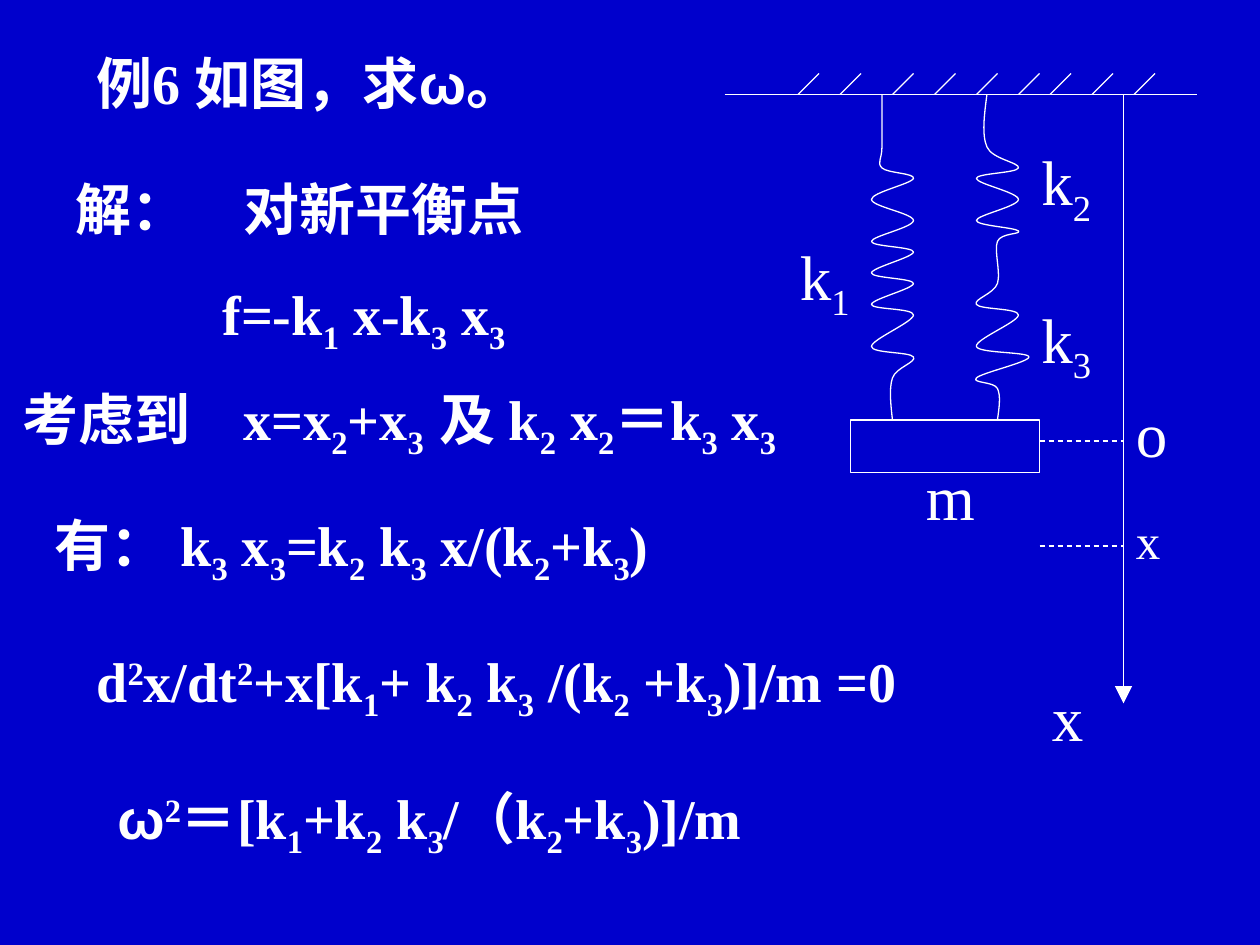
import itertools

import lxml.etree
import pptx
import pptx.dml.color
import pptx.enum.dml
import pptx.enum.shapes
import pptx.enum.text
import pptx.oxml.ns
import pptx.util
from pptx.util import Inches

BLUE = pptx.dml.color.RGBColor(0x00, 0x00, 0xCC)
WHITE = pptx.dml.color.RGBColor(0xFF, 0xFF, 0xFF)
BASELINES = {"_": "-25000", "^": "30000"}

TITLE = "例6 如图，求ω。"

# Worked solution: left, top, width, height, text ("_" lowers, "^" raises one character)
SOLUTION = [
    (0.5, 1.33, 1.17, 0.64, "解："),
    (1.83, 1.33, 3.25, 0.64, "对新平衡点"),
    (1.67, 2.17, 3.75, 0.71, "f=-k_1 x-k_3 x_3"),
    (0.08, 3, 1.83, 0.64, "考虑到"),
    (1.83, 3, 5.17, 0.71, "x=x_2+x_3_ _ 及 k_2 x_2＝k_3 x_3"),
    (0.33, 4, 1.17, 0.64, "有："),
    (1.33, 4, 4.33, 0.71, "k_3 x_3=k_2 k_3 x/(k_2+k_3)"),
    (0.67, 5.08, 6.75, 0.71, "d^2x/dt^2+x[k_1+ k_2 k_3 /(k_2 +k_3)]/m =0"),
    (0.83, 6.17, 7.67, 0.71, "ω^2＝[k_1+k_2 k_3/（k_2+k_3)]/m"),
]

# Diagram labels: left, top, width, height, text, size
LABELS = [
    (8.92, 3.08, 0.92, 0.7, "o", 36),
    (8.92, 4, 1.42, 0.57, "x", 28),
    (8.25, 5.33, 0.92, 0.7, "x", 36),
    (6.25, 1.83, 0.83, 0.79, "k_1", 36),
    (8.17, 1.08, 1, 0.79, "k_2", 36),
    (8.17, 2.33, 1, 0.79, "k_3", 36),
    (7.25, 3.58, 1.08, 0.7, "m", 36),
]

CEILING_Y = 0.75
HATCH_FEET = [6.33, 6.67, 7.08, 7.42, 7.75, 8.08, 8.33, 8.67, 9]
AXIS_X = 8.92

# Turning points of the springs
SPRING_1 = [(7, 0.75), (7, 1.17), (7, 1.33), (7.25, 1.42), (6.92, 1.58),
            (7.25, 1.75), (6.92, 1.92), (7.25, 2), (6.92, 2.17), (7.25, 2.25),
            (6.92, 2.42), (7.25, 2.5), (6.92, 2.75), (7.25, 2.83), (7.08, 3),
            (7.08, 3.33)]
SPRINGS_2_3 = [(7.83, 0.75), (7.83, 1.17), (8.08, 1.33), (7.75, 1.42), (8.08, 1.58),
               (7.75, 1.75), (8.08, 1.83), (7.92, 1.92), (7.92, 2.25), (7.75, 2.42),
               (8.08, 2.5), (7.75, 2.75), (8.17, 2.83), (7.75, 3), (7.92, 3.08),
               (7.92, 3.33)]


def snap(value):
    """Place a length on the slide's grid of twelfths of an inch."""
    return Inches(round(value * 12) / 12)


def styled_characters(text):
    """Yield each character with its baseline mark and font name."""
    mark = ""
    for character in text:
        if character in BASELINES:
            mark = character
            continue
        yield character, (mark, "Arial" if character == "ω" else "Times New Roman")
        mark = ""


def write_text(shape, text, size, bold):
    frame = shape.text_frame
    frame.word_wrap = True
    frame.auto_size = pptx.enum.text.MSO_AUTO_SIZE.SHAPE_TO_FIT_TEXT
    frame.vertical_anchor = pptx.enum.text.MSO_ANCHOR.TOP
    paragraph = frame.paragraphs[0]
    paragraph.alignment = pptx.enum.text.PP_ALIGN.LEFT
    paragraph.space_before = pptx.util.Pt(size * 0.625)
    for (mark, font_name), group in itertools.groupby(styled_characters(text), lambda item: item[1]):
        run = paragraph.add_run()
        run.text = "".join(character for character, _ in group)
        run.font.name = font_name
        run.font.size = pptx.util.Pt(size)
        run.font.bold = bold
        run.font.color.rgb = WHITE
        if mark:
            run.font._element.set("baseline", BASELINES[mark])


def add_label(shapes, left, top, width, height, text, size=32, bold=False):
    box = shapes.add_textbox(snap(left), snap(top), snap(width), Inches(height))
    write_text(box, text, size, bold)


def format_line(line):
    line.color.rgb = WHITE
    line.width = pptx.util.Pt(0.75)


def add_line(shapes, start, end, dashed=False, arrow=False):
    connector = shapes.add_connector(
        pptx.enum.shapes.MSO_CONNECTOR.STRAIGHT, *map(snap, start + end))
    format_line(connector.line)
    if dashed:
        connector.line.dash_style = pptx.enum.dml.MSO_LINE.DASH
    properties = connector._element.spPr
    if arrow:
        line_element = properties.find(pptx.oxml.ns.qn("a:ln"))
        lxml.etree.SubElement(line_element, pptx.oxml.ns.qn("a:tailEnd"),
                              type="triangle", w="lg", len="lg")
    lxml.etree.SubElement(properties, pptx.oxml.ns.qn("a:effectLst"))


def bezier_points(knots):
    """Give two control points and an end point for each smooth segment."""
    points = []
    last = len(knots) - 2
    for index in range(last + 1):
        start, end = knots[index], knots[index + 1]
        before, after = knots[max(index - 1, 0)], knots[min(index + 2, last + 1)]
        leave = [s + (e - b) / 6 for s, e, b in zip(start, end, before)]
        arrive = [e - (a - s) / 6 for s, e, a in zip(start, end, after)]
        if index == 0:
            leave = [(s + a) / 2 for s, a in zip(start, arrive)]
        if index == last:
            arrive = [(e + c) / 2 for e, c in zip(end, leave)]
        points += [leave, arrive, end]
    return points


def add_spring(shapes, turning_points):
    knots = [(snap(x), snap(y)) for x, y in turning_points]
    builder = shapes.build_freeform(*knots[0])
    builder.add_line_segments(bezier_points(knots), close=False)
    spring = builder.convert_to_shape()
    # Join every three straight segments into one cubic curve
    segments = list(spring._element.iter(pptx.oxml.ns.qn("a:lnTo")))
    for first, second, third in zip(segments[::3], segments[1::3], segments[2::3]):
        outline = first.getparent()
        curve = lxml.etree.SubElement(outline, pptx.oxml.ns.qn("a:cubicBezTo"))
        for segment in (first, second, third):
            curve.append(segment[0])
            outline.remove(segment)
    spring.shadow.inherit = False
    spring.fill.background()
    format_line(spring.line)


def add_mass(shapes):
    mass = shapes.add_shape(pptx.enum.shapes.MSO_SHAPE.RECTANGLE,
                            *map(snap, (6.75, 3.33, 1.5, 0.42)))
    mass.shadow.inherit = False
    mass.fill.background()
    format_line(mass.line)


def add_diagram(slide):
    shapes = slide.shapes.add_group_shape().shapes
    # Hatched ceiling
    add_line(shapes, (5.75, CEILING_Y), (9.5, CEILING_Y))
    for foot in HATCH_FEET:
        add_line(shapes, (foot + 0.17, 0.58), (foot, CEILING_Y))
    # Springs and hanging mass
    for turning_points in (SPRING_1, SPRINGS_2_3):
        add_spring(shapes, turning_points)
    add_mass(shapes)
    # Displacement axis with its two levels
    add_line(shapes, (AXIS_X, CEILING_Y), (AXIS_X, 5.58), arrow=True)
    for level in (3.5, 4.33):
        add_line(shapes, (8.25, level), (AXIS_X, level), dashed=True)
    for label in LABELS:
        add_label(shapes, *label)


def add_title(slide):
    title = slide.shapes.title
    title.left, title.top, title.width = map(snap, (0.67, 0.33, 7.33))
    title.height = Inches(0.64)
    write_text(title, TITLE, 32, True)


def main():
    presentation = pptx.Presentation()
    presentation.slide_width, presentation.slide_height = Inches(10), Inches(7.5)
    slide = presentation.slides.add_slide(presentation.slide_layouts.get_by_name("Title Only"))
    slide.background.fill.solid()
    slide.background.fill.fore_color.rgb = BLUE
    add_title(slide)
    add_diagram(slide)
    for line in SOLUTION:
        add_label(slide.shapes, *line, bold=True)
    presentation.save("out.pptx")


if __name__ == "__main__":
    main()
